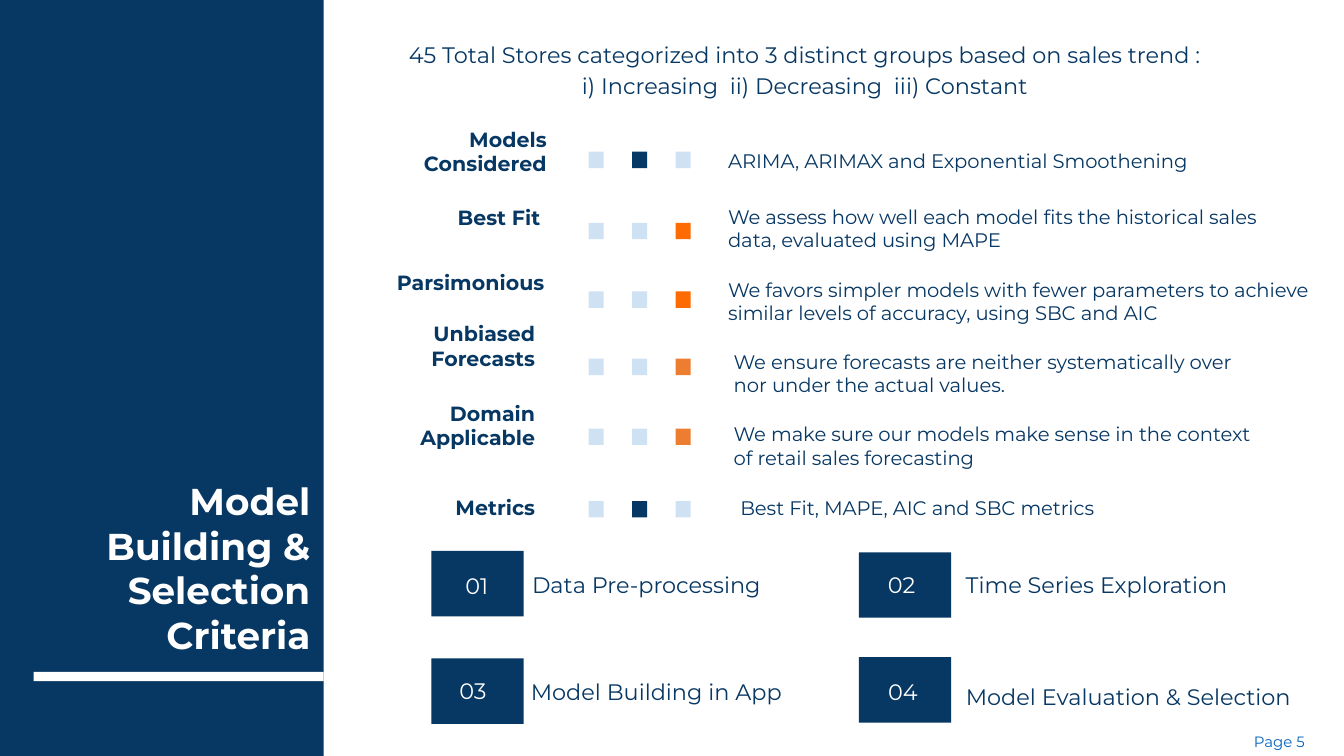
from pptx import Presentation
from pptx.dml.color import RGBColor
from pptx.enum.shapes import MSO_SHAPE
from pptx.enum.text import MSO_ANCHOR as ANCHOR, PP_ALIGN as ALIGN
from pptx.util import Pt

NAVY = RGBColor(0x07, 0x37, 0x63)
PALE = RGBColor(0xCF, 0xE2, 0xF3)
ORANGE = RGBColor(0xFF, 0x6B, 0x03)
RUST = RGBColor(0xED, 0x7D, 0x31)
BLUE = RGBColor(0x05, 0x63, 0xC1)
WHITE = RGBColor(0xFF, 0xFF, 0xFF)

FONT = "Montserrat"
INSET = 7.2

TITLE = dict(size=Pt(20), bold=True, color=WHITE)
LABEL = dict(size=Pt(11), bold=True, color=NAVY)
DETAIL = dict(size=Pt(10.5), color=NAVY)
BODY = dict(size=Pt(12), color=NAVY)
NUMBER = dict(size=Pt(12), color=WHITE)
FOOTER = dict(size=Pt(8), color=BLUE)

# Square centre y, label, right edge and y shift of label,
# detail, left, width and y shift of detail, marked square, its colour
CRITERIA = [
    (85.7, "Models Considered", 300, -4.7,
     "ARIMA, ARIMAX and Exponential Smoothening", 383, 307, 0.3, 1, NAVY),
    (123.8, "Best Fit", 296.6, -7.5,
     "We assess how well each model fits the historical sales data, evaluated using MAPE",
     383, 321, -1.4, 2, ORANGE),
    (160.6, "Parsimonious", 298.8, -9.4,
     "We favors simpler models with fewer parameters to achieve similar levels "
     "of accuracy, using SBC and AIC", 383, 331.2, 0.7, 2, ORANGE),
    (196.6, "Unbiased Forecasts", 293.8, -11.2,
     "We ensure forecasts are neither systematically over nor under the actual values.",
     386, 294.5, 3.2, 2, RUST),
    (234, "Domain Applicable", 293.8, -6.1,
     "We make sure our models make sense in the context of retail sales forecasting",
     386, 294.5, 4.7, 2, RUST),
    (272.9, "Metrics", 293.8, -1.1,
     "Best Fit, MAPE, AIC and SBC metrics", 389.5, 294.5, -1.1, 1, NAVY),
]

# Tile left and top, number, x and y shift of number, caption,
# then left, width and y shift of caption relative to the tile
STEPS = [
    (231.1, 295.2, "01", -0.4, 1.1, "Data Pre-processing", 24.5, 181.4, 0.6),
    (460.1, 295.9, "02", -1.8, 0, "Time Series Exploration", 48.9, 157, 0),
    (231.1, 352.8, "03", -2.5, -0.3, "Model Building in App", 46.1, 149, 0),
    (460.1, 352.1, "04", -1.1, 0.7, "Model Evaluation & Selection", 49.4, 190.1, 3.3),
]


def add_rect(s, x, y, w, h, color):
    sp = s.shapes.add_shape(MSO_SHAPE.RECTANGLE, Pt(x), Pt(y), Pt(w), Pt(h))
    sp.shadow.inherit = False
    sp.fill.solid()
    sp.fill.fore_color.rgb = color
    sp.line.fill.background()


def add_text(s, x, y, w, h, text, style, align=ALIGN.LEFT, anchor=ANCHOR.MIDDLE):
    tf = s.shapes.add_textbox(Pt(x), Pt(y), Pt(w), Pt(h)).text_frame
    frame = dict(word_wrap=True, vertical_anchor=anchor)
    frame.update({f"margin_{side}": Pt(INSET) for side in ("left", "top", "right", "bottom")})
    for name, value in frame.items():
        setattr(tf, name, value)
    p = tf.paragraphs[0]
    p.text = text
    p.alignment = align
    for r in p.runs:
        r.font.name = FONT
        for name, value in style.items():
            if name == "color":
                r.font.color.rgb = value
            else:
                setattr(r.font, name, value)
    return p


def add_sidebar(s, x, y, w, h):
    add_rect(s, x, y, w, h, NAVY)
    # Rule below the title
    add_rect(s, x + 18, y + 360, w - 18, 5, WHITE)
    add_text(s, x + 46.8, y + 275.8, w - 46.8, 83.5,
             "Model Building & Selection Criteria", TITLE, ALIGN.RIGHT, ANCHOR.BOTTOM)


def add_intro(s, x, y, w, h):
    p = add_text(s, x, y, w, h,
                 "45 Total Stores categorized into 3 distinct groups based on sales trend :\v"
                 "i) Increasing  ii) Decreasing  iii) Constant",
                 BODY, ALIGN.CENTER, ANCHOR.TOP)
    p.line_spacing = 1.15
    p.space_before = Pt(4)


def add_criterion(s, x, cy, label, right, label_dy,
                  detail, left, width, detail_dy, marked, color):
    label_w, text_h = 112, 28
    add_text(s, right - label_w, cy + label_dy - text_h / 2, label_w, text_h,
             label, LABEL, ALIGN.RIGHT)
    # Three squares, one of them marked
    for i in range(3):
        add_rect(s, x + i * 23.3, cy - 4.4, 8, 8.8, color if i == marked else PALE)
    add_text(s, left, cy + detail_dy - text_h / 2, width, text_h, detail, DETAIL)


def add_step(s, x, y, number, num_dx, num_dy, caption, cap_dx, cap_w, cap_dy):
    tile_w, tile_h, text_h = 49.5, 35.1, 22
    text_y = y + (tile_h - text_h) / 2
    add_rect(s, x, y, tile_w, tile_h, NAVY)
    add_text(s, x + num_dx, text_y + num_dy, tile_w, text_h, number, NUMBER, ALIGN.CENTER)
    add_text(s, x + cap_dx, text_y + cap_dy, cap_w, text_h, caption, BODY, ALIGN.CENTER)


def main():
    prs = Presentation()
    prs.slide_width, prs.slide_height = Pt(720), Pt(405)
    s = prs.slides.add_slide(prs.slide_layouts[6])

    add_sidebar(s, 0, 0, 173.4, 405)
    add_intro(s, 176.8, 12.6, 509, 51.8)
    for criterion in CRITERIA:
        add_criterion(s, 315.4, *criterion)
    for step in STEPS:
        add_step(s, *step)
    # Page number
    add_text(s, 664.6, 387.7, 55.4, 17, "Page 5", FOOTER, anchor=ANCHOR.TOP)

    prs.save("out.pptx")


if __name__ == "__main__":
    main()
